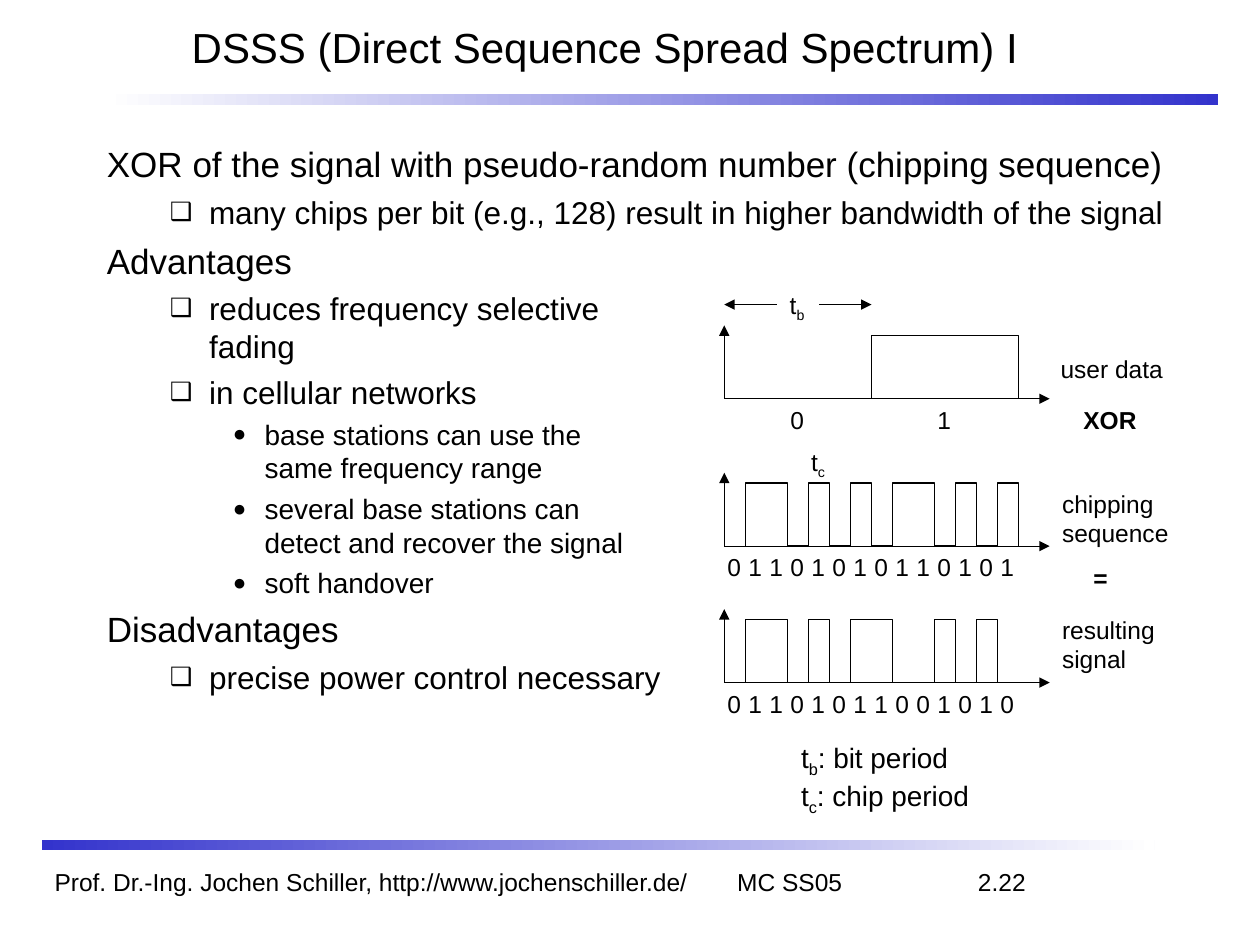
import copy
import itertools

import pptx
import pptx.dml.color
import pptx.enum.shapes
import pptx.enum.text
import pptx.oxml
import pptx.oxml.ns
import pptx.util

Cm = pptx.util.Cm
Pt = pptx.util.Pt
qn = pptx.oxml.ns.qn
Anchor = pptx.enum.text.MSO_ANCHOR
Align = pptx.enum.text.PP_ALIGN
Fit = pptx.enum.text.MSO_AUTO_SIZE

FONT = "Arial"
BLACK = "000000"
WHITE = "FFFFFF"
BLUE = "3333CC"

LEFT = 14.6
SPAN = 5.93
HIGH = 1.27
DIGIT = 0.8
DATA = [0, 1]
CHIPS = [0, 1, 1, 0, 1, 0, 1] * 2

LEVELS = [
    {"size": 20, "gap": 5, "left": 0.95, "hang": 0.95, "mark": None},
    {"size": 18, "gap": 4.5, "left": 2.06, "hang": 0.79, "mark": "❑"},
    {"size": 16, "gap": 4, "left": 3.18, "hang": 0.64, "mark": "●"},
]
POINTS = [
    (0, "XOR of the signal with pseudo-random number (chipping sequence)"),
    (1, "many chips per bit (e.g., 128) result in higher bandwidth of the signal"),
    (0, "Advantages"),
    (1, "reduces frequency selective \vfading"),
    (1, "in cellular networks"),
    (2, "base stations can use the \vsame frequency range"),
    (2, "several base stations can \vdetect and recover the signal"),
    (2, "soft handover"),
    (0, "Disadvantages"),
    (1, "precise power control necessary"),
]
LABELS = [
    (21.13, 7.01, 2.6, 0.86, ["user data"], {}),
    (21.16, 9.73, 2.7, 1.45, ["chipping", "sequence"], {}),
    (21.16, 12.27, 2.4, 1.45, ["resulting", "signal"], {}),
    (21.59, 8.04, 1.6, 0.86, ["XOR"], {"bold": True}),
    (21.79, 11.22, 0.8, 0.86, ["="], {"bold": True}),
    (15.67, 5.72, 0.8, 0.94, ["t_b"], {}),
    (16.1, 8.89, 0.8, 0.94, ["t_c"], {}),
    (15.9, 14.81, 3.9, 1.8, ["t_b: bit period", "t_c: chip period"],
     {"size": Pt(16)}),
]


def tint(code):
    return pptx.dml.color.RGBColor.from_string(code)


def put(thing, values):
    for name, value in values.items():
        setattr(thing, name, value)


def mark(tag, **values):
    space = pptx.oxml.ns.nsdecls("a")
    node = pptx.oxml.parse_xml(f"<a:{tag} {space}/>")
    for name, value in values.items():
        node.set(name, str(value))
    return node


def style(run, values):
    put(run.font, {"name": FONT, "size": Pt(14), **values})
    run.font.color.rgb = tint(BLACK)


def place(shape, left, top, width, height):
    put(shape, {"left": Cm(left), "top": Cm(top),
                "width": Cm(width), "height": Cm(height)})


def write(para, text, values):
    head, _, rest = text.partition("_")
    for part, low in ((head, False), (rest[:1], True), (rest[1:], False)):
        if part:
            run = para.add_run()
            run.text = part
            style(run, values)
            if low:
                run.font._element.set("baseline", "-25000")


def label(slide, left, top, width, height, lines, values):
    box = slide.shapes.add_textbox(Cm(left), Cm(top), Cm(width), Cm(height))
    frame = box.text_frame
    put(frame, {"word_wrap": False, "auto_size": Fit.NONE, "margin_right": 0})
    for rank, line in enumerate(lines):
        para = frame.add_paragraph() if rank else frame.paragraphs[0]
        write(para, line, values)


def band(slide, left, top, start, end):
    kind = pptx.enum.shapes.MSO_SHAPE.RECTANGLE
    bar = slide.shapes.add_shape(kind, Cm(left), Cm(top), Cm(22.43), Cm(0.21))
    bar.shadow.inherit = False
    bar.line.fill.background()
    bar.fill.gradient()
    bar.fill.gradient_angle = 0
    for stop, code in zip(bar.fill.gradient_stops, (start, end)):
        stop.color.rgb = tint(code)


def pen(line):
    line.color.rgb = tint(BLACK)
    line.width = Pt(0.75)


def arrow(slide, *ends):
    kind = pptx.enum.shapes.MSO_CONNECTOR.STRAIGHT
    link = slide.shapes.add_connector(kind, *map(Cm, ends))
    pen(link.line)
    props = link._element.spPr
    props.find(qn("a:ln")).append(mark("tailEnd", type="triangle"))
    props.append(mark("effectLst"))


def wave(slide, base, bits):
    step = SPAN / len(bits)
    nodes = []
    spot = 0
    for bit, group in itertools.groupby(bits):
        end = spot + len(list(group))
        if bit:
            rise, fall = LEFT + spot * step, LEFT + end * step
            nodes += [(rise, base), (rise, base - HIGH),
                      (fall, base - HIGH), (fall, base)]
        spot = end
    nodes = [(Cm(x), Cm(y)) for x, y in nodes]
    trace = slide.shapes.build_freeform(*nodes[0])
    trace.add_line_segments(nodes[1:], close=False)
    shape = trace.convert_to_shape()
    shape.shadow.inherit = False
    shape.fill.background()
    pen(shape.line)


def graph(slide, base, bits):
    arrow(slide, LEFT, base, LEFT, base - 1.48)
    arrow(slide, LEFT, base, LEFT + 6.56, base)
    wave(slide, base, bits)
    step = SPAN / len(bits)
    for rank, bit in enumerate(bits):
        left = LEFT + (rank + 0.5) * step - DIGIT / 2
        label(slide, left, base, DIGIT, 0.86, [str(bit)], {})


def title(slide):
    shape = slide.shapes.title
    place(shape, 3.61, 0, 21.39, 1.9)
    put(shape.text_frame, {"vertical_anchor": Anchor.MIDDLE,
                           "auto_size": Fit.NONE})
    para = shape.text_frame.paragraphs[0]
    para.alignment = Align.LEFT
    write(para, "DSSS (Direct Sequence Spread Spectrum) I", {"size": Pt(24)})


def body(slide):
    shape = slide.placeholders[1]
    place(shape, 1.9, 2.75, 22.01, 14.18)
    frame = shape.text_frame
    frame.auto_size = Fit.NONE
    for rank, (depth, text) in enumerate(POINTS):
        para = frame.add_paragraph() if rank else frame.paragraphs[0]
        form = LEVELS[depth]
        para.text = text
        put(para, {"level": depth, "line_spacing": 1.0,
                   "space_before": Pt(form["gap"] if rank else 0)})
        props = para._p.get_or_add_pPr()
        props.set("marL", str(Cm(form["left"])))
        props.set("indent", str(-Cm(form["hang"])))
        if form["mark"]:
            props.append(mark("buSzPct", val=80000))
            props.append(mark("buFont", typeface=FONT))
            props.append(mark("buChar", char=form["mark"]))
        else:
            props.append(mark("buNone"))
        for run in para.runs:
            style(run, {"size": Pt(form["size"])})
        for stop in para._p.findall(qn("a:br")):
            stop.append(copy.deepcopy(para.runs[0].font._element))


def footer(slide):
    box = slide.shapes.add_textbox(Cm(0.85), Cm(17.36), Cm(22.23), Cm(0.85))
    box.text_frame.word_wrap = True
    para = box.text_frame.paragraphs[0]
    tabs = mark("tabLst")
    for spot, side in ((13.76, "l"), (19.58, "r")):
        tabs.append(mark("tab", pos=Cm(spot), algn=side))
    para._p.get_or_add_pPr().append(tabs)
    write(para, "Prof. Dr.-Ing. Jochen Schiller, "
          "http://www.jochenschiller.de/\tMC SS05\t2.22", {})


def main():
    deck = pptx.Presentation()
    put(deck, {"slide_width": Cm(25.4), "slide_height": Cm(19.05)})
    slide = deck.slides.add_slide(deck.slide_layouts[1])
    band(slide, 2.12, 1.9, WHITE, BLUE)
    band(slide, 0.85, 16.93, BLUE, WHITE)
    footer(slide)
    title(slide)
    body(slide)
    spread = [DATA[rank * len(DATA) // len(CHIPS)] ^ chip
              for rank, chip in enumerate(CHIPS)]
    for base, bits in ((8.04, DATA), (11.01, CHIPS), (13.76, spread)):
        graph(slide, base, bits)
    arrow(slide, 16.51, 6.14, 17.57, 6.14)
    arrow(slide, 15.66, 6.14, LEFT, 6.14)
    for item in LABELS:
        label(slide, *item)
    deck.save("out.pptx")


if __name__ == "__main__":
    main()
